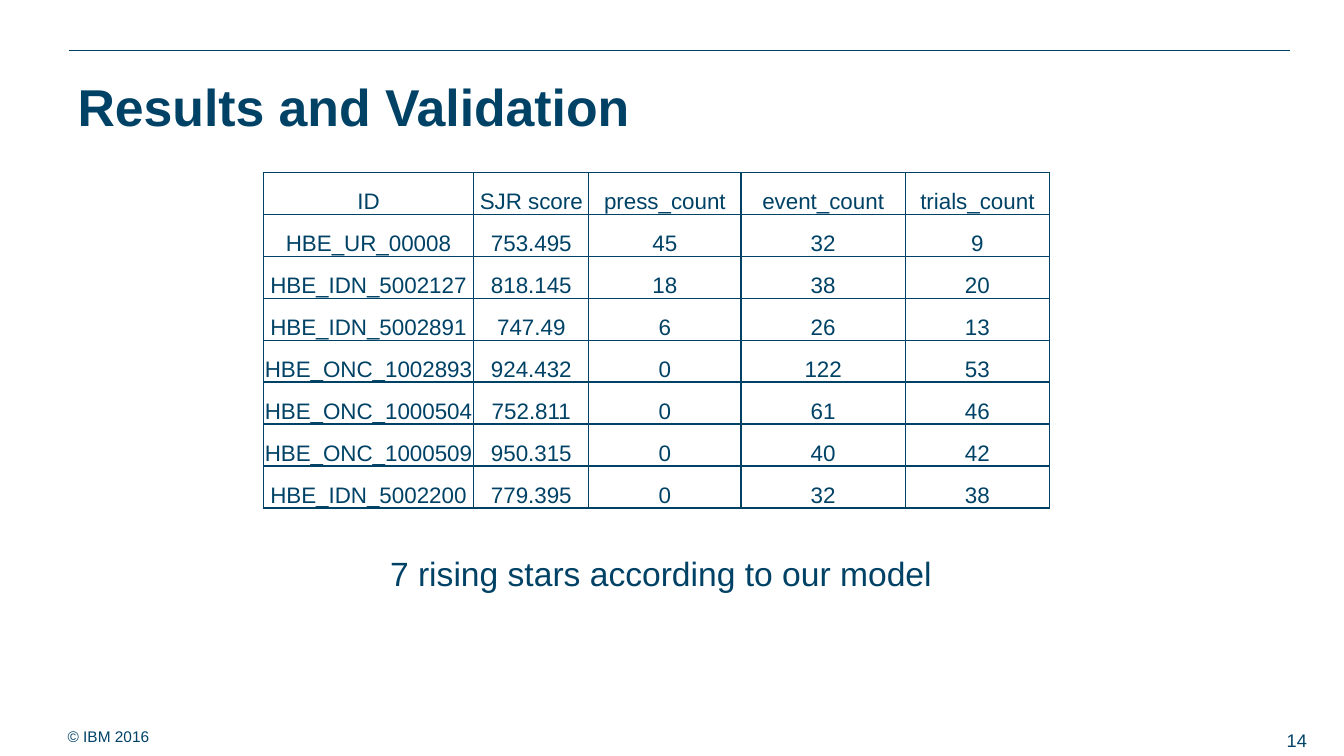
from lxml import etree
from pptx import Presentation
from pptx import util as u
from pptx.dml.color import RGBColor
from pptx.enum import shapes, text
from pptx.oxml import parse_xml
from pptx.oxml.ns import nsdecls, qn

NAVY = "004266"


def paint(color, hex_color):
    color.rgb = RGBColor.from_string(hex_color)


def write(frame, words, size, align=text.PP_ALIGN.LEFT, bold=False):
    paragraph = frame.paragraphs[0]
    paragraph.alignment = align
    run = paragraph.add_run()
    run.text = words
    run.font.name = "Arial"
    run.font.size = u.Pt(size)
    run.font.bold = bold
    paint(run.font.color, NAVY)


deck = Presentation()
deck.slide_width, deck.slide_height = u.Inches(13.33), u.Inches(7.5)
slide = deck.slides.add_slide(deck.slide_layouts[5])

# Rule above the title
rule = slide.shapes.add_connector(
    shapes.MSO_CONNECTOR.STRAIGHT,
    u.Inches(0.68), u.Inches(0.5), u.Inches(12.79), u.Inches(0.5))
rule.line.width = u.Pt(0.75)
paint(rule.line.color, NAVY)
etree.SubElement(rule._element.spPr, qn("a:effectLst"))

# Title
title = slide.shapes.title
title.left, title.top = u.Inches(0.67), u.Inches(0.64)
title.width, title.height = u.Inches(12), u.Inches(0.66)
title.text_frame.auto_size = text.MSO_AUTO_SIZE.NONE
title.text_frame.vertical_anchor = text.MSO_ANCHOR.TOP
title.text_frame.margin_top = u.Inches(0.1)
write(title.text_frame, "Results and Validation", 37, bold=True)

# Table of rising stars
results = [
    ("ID", "SJR score", "press_count", "event_count", "trials_count"),
    ("HBE_UR_00008", "753.495", "45", "32", "9"),
    ("HBE_IDN_5002127", "818.145", "18", "38", "20"),
    ("HBE_IDN_5002891", "747.49", "6", "26", "13"),
    ("HBE_ONC_1002893", "924.432", "0", "122", "53"),
    ("HBE_ONC_1000504", "752.811", "0", "61", "46"),
    ("HBE_ONC_1000509", "950.315", "0", "40", "42"),
    ("HBE_IDN_5002200", "779.395", "0", "32", "38"),
]
column_widths = [2.09, 1.14, 1.51, 1.63, 1.43]
table = slide.shapes.add_table(
    len(results), len(column_widths), u.Inches(2.61), u.Inches(1.71),
    u.Inches(sum(column_widths)), u.Inches(3.33)).table
table.first_row = table.horz_banding = False
for column, width in zip(table.columns, column_widths):
    column.width = u.Inches(width)

for r, record in enumerate(results):
    for c, value in enumerate(record):
        cell = table.cell(r, c)
        cell.margin_left = cell.margin_right = cell.margin_top = u.Inches(0.01)
        cell.margin_bottom = 0
        cell.vertical_anchor = text.MSO_ANCHOR.BOTTOM
        cell.fill.background()
        write(cell.text_frame, value, 16, text.PP_ALIGN.CENTER)
        # Borders come before the fill in the cell properties
        for position, side in enumerate(("lnL", "lnR", "lnT", "lnB")):
            border = parse_xml(
                f'<a:{side} {nsdecls("a")} w="12700"><a:solidFill>'
                f'<a:srgbClr val="{NAVY}"/></a:solidFill></a:{side}>')
            cell._tc.tcPr.insert(position, border)

# Caption, copyright line and page number
notes = [
    ("7 rising stars according to our model", 24, (3.77, 5.44, 5.79, 0.5),
     (0.1, 0.05), text.MSO_ANCHOR.TOP, text.PP_ALIGN.LEFT),
    ("© IBM 2016", 11, (0.67, 7.14, 4.89, 0.33),
     (0, 0), text.MSO_ANCHOR.MIDDLE, text.PP_ALIGN.LEFT),
    ("14", 13, (9.39, 7.21, 3.67, 0.27),
     (0.1, 0.05), text.MSO_ANCHOR.MIDDLE, text.PP_ALIGN.RIGHT),
]
for words, size, place, (side_gap, end_gap), anchor, align in notes:
    frame = slide.shapes.add_textbox(*map(u.Inches, place)).text_frame
    frame.word_wrap = True
    frame.margin_left = frame.margin_right = u.Inches(side_gap)
    frame.margin_top = frame.margin_bottom = u.Inches(end_gap)
    frame.vertical_anchor = anchor
    write(frame, words, size, align)

deck.save("out.pptx")
